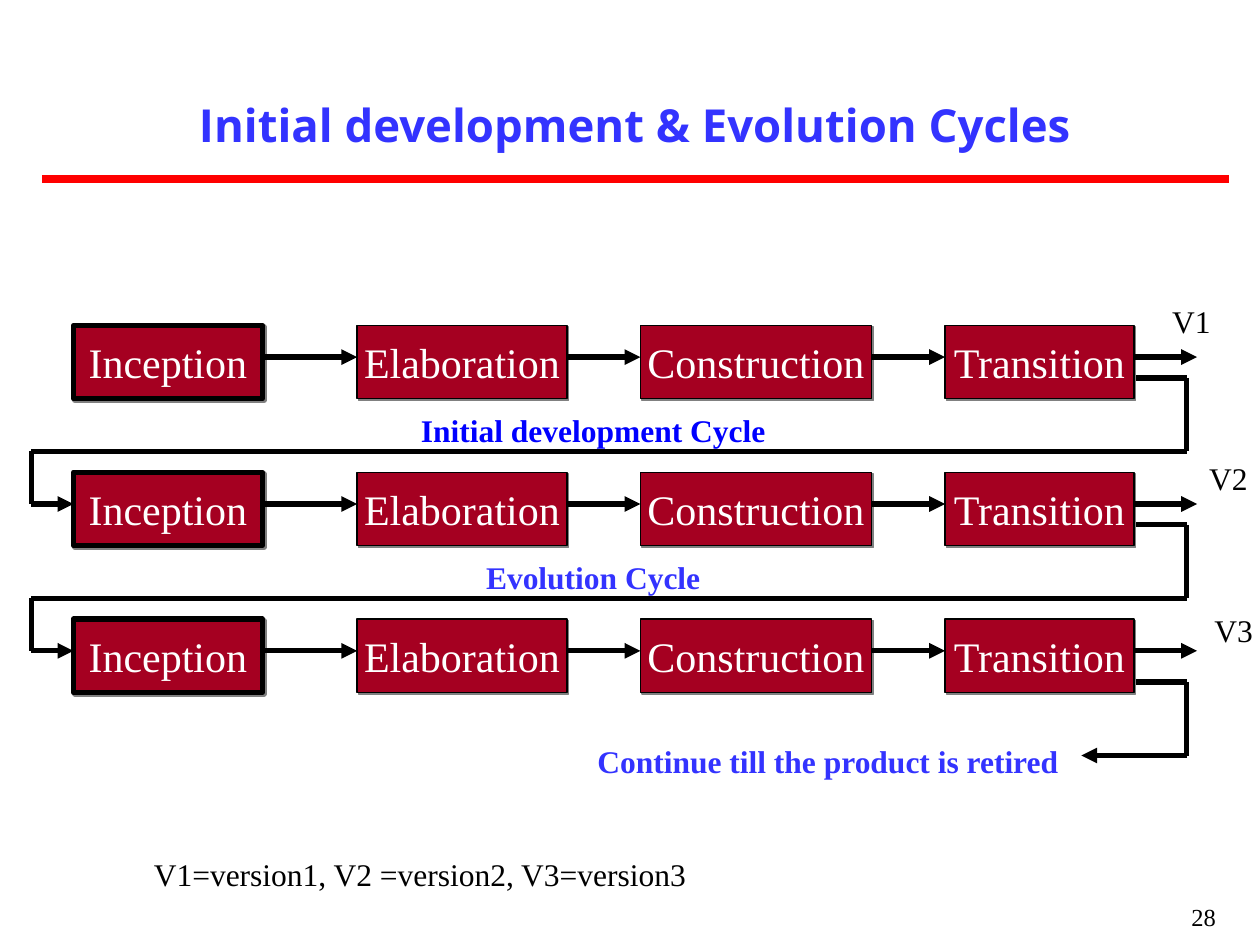
from itertools import pairwise

from lxml.etree import SubElement
from pptx import Presentation
from pptx.dml.color import RGBColor
from pptx.enum.shapes import MSO_CONNECTOR as CONN, MSO_SHAPE as SHAPE
from pptx.enum.text import MSO_ANCHOR as ANCHOR, PP_ALIGN as ALIGN
from pptx.oxml.ns import qn
from pptx.util import Cm, Pt

COLORS = {
    "title": "3333FF",
    "rule": "FF0000",
    "phase": "A50021",
    "line": "000000",
    "shadow": "808080",
    "paper": "FFFFFF",
    "initial": "0000FF",
    "evolution": "3333FF",
}
SERIF = "Times New Roman"
PHASES = [
    ("Inception", 0, 3.81, 3),
    ("Elaboration", 5.72, 4.23, 0.75),
    ("Construction", 11.43, 4.66, 0.75),
    ("Transition", 17.57, 3.81, 0.75),
]
ROW_LEFT, ROW_TOP, ROW_PITCH, ROW_HEIGHT = 1.48, 6.56, 2.96, 1.48
FLOW_Y, ROW_END, EXIT_X, TURN_X = 0.64, 21.38, 22.65, 22.44


def rgb(name):
    return RGBColor.from_string(COLORS[name])


def write(tf, text, size=18, color="line", font=SERIF, bold=False, align=ALIGN.CENTER):
    p = tf.paragraphs[0]
    p.alignment = align
    r = p.add_run()
    r.text = text
    r.font.name, r.font.size, r.font.bold = font, Pt(size), bold
    r.font.color.rgb = rgb(color)


def add_text(s, box, text, **fmt):
    tf = s.shapes.add_textbox(*map(Cm, box)).text_frame
    tf.word_wrap = True
    write(tf, text, **fmt)


def add_box(s, box, text, fill="paper", line="paper", weight=0.75, **fmt):
    sp = s.shapes.add_shape(SHAPE.RECTANGLE, *map(Cm, box))
    sp.shadow.inherit = False
    sp.fill.solid()
    sp.fill.fore_color.rgb = rgb(fill)
    sp.line.color.rgb = rgb(line)
    sp.line.width = Pt(weight)
    tf = sp.text_frame
    tf.word_wrap = False
    tf.vertical_anchor = ANCHOR.MIDDLE
    write(tf, text, **fmt)
    return sp


def add_shadow(sp):
    effects = sp._element.spPr.find(qn("a:effectLst"))
    shadow = SubElement(effects, qn("a:outerShdw"), dist=str(Pt(1.4)), dir="2700000", algn="ctr", rotWithShape="0")
    SubElement(shadow, qn("a:srgbClr"), val=COLORS["shadow"])


def add_path(s, points, color="line", weight=3, arrow=True):
    for start, end in pairwise(points):
        c = s.shapes.add_connector(CONN.STRAIGHT, *map(Cm, start + end))
        c.line.color.rgb = rgb(color)
        c.line.width = Pt(weight)
        if arrow and end == points[-1]:
            SubElement(c.line._get_or_add_ln(), qn("a:tailEnd"), type="triangle")
        SubElement(c._element.spPr, qn("a:effectLst"))


def add_header(s, left, top, width):
    add_text(s, (left, top, width, 1.37), "Initial development & Evolution Cycles",
             size=26, color="title", font="Open Sans", bold=True)
    y = top + 1.78
    add_path(s, [(left, y), (left + width, y)], color="rule", weight=4.5, arrow=False)


def add_return_loop(s, left, top, text, color):
    start_y, low_y, entry_y = top + 1.06, top + 2.54, top + ROW_PITCH + FLOW_Y
    turn, back = left + TURN_X, left - 0.85
    add_path(s, [(left + ROW_END, start_y), (turn, start_y), (turn, low_y),
                 (back, low_y), (back, entry_y), (left, entry_y)])
    add_box(s, (left + 3.81, top + 1.9, 13.34, 0.42), text, color=color, bold=True)


def add_final_exit(s, left, top):
    start_y, low_y, turn = top + 1.27, top + 2.75, left + TURN_X
    add_path(s, [(left + ROW_END, start_y), (turn, start_y),
                 (turn, low_y), (left + 20.32, low_y)])
    add_box(s, (left + 8.47, top + 2.33, 11.64, 1.06), "Continue till the product is retired",
            color="evolution", bold=True, align=ALIGN.RIGHT)


def add_cycle(s, left, top, version, version_box):
    for text, x, width, weight in PHASES:
        sp = add_box(s, (left + x, top, width, ROW_HEIGHT), text, fill="phase",
                     line="line", weight=weight, size=24, color="paper")
        add_shadow(sp)
    starts = [x + width for _, x, width, _ in PHASES]
    ends = [x for _, x, _, _ in PHASES[1:]] + [EXIT_X]
    y = top + FLOW_Y
    for start, end in zip(starts, ends):
        add_path(s, [(left + start, y), (left + end, y)])
    x, dy, width, height = version_box
    add_box(s, (left + x, top + dy, width, height), version)


def main():
    prs = Presentation()
    prs.slide_width, prs.slide_height = Cm(25.4), Cm(19.05)
    s = prs.slides.add_slide(prs.slide_layouts[6])

    add_text(s, (19.48, 18.06, 5.28, 0.97), "28", size=14, align=ALIGN.RIGHT)
    add_header(s, 0.85, 1.83, 23.92)

    tops = [ROW_TOP + i * ROW_PITCH for i in range(3)]
    add_return_loop(s, ROW_LEFT, tops[0], "Initial development Cycle", "initial")
    add_return_loop(s, ROW_LEFT, tops[1], "Evolution Cycle", "evolution")
    add_final_exit(s, ROW_LEFT, tops[2])

    versions = [
        ("V1", (21.8, -0.42, 1.48, 0.64)),
        ("V2", (22.65, -0.21, 1.27, 0.64)),
        ("V3", (22.86, -0.21, 1.06, 0.85)),
    ]
    for top, (version, box) in zip(tops, versions):
        add_cycle(s, ROW_LEFT, top, version, box)

    add_box(s, (2.44, 17.2, 12.06, 0.85), "V1=version1, V2 =version2, V3=version3")
    prs.save("out.pptx")


if __name__ == "__main__":
    main()
